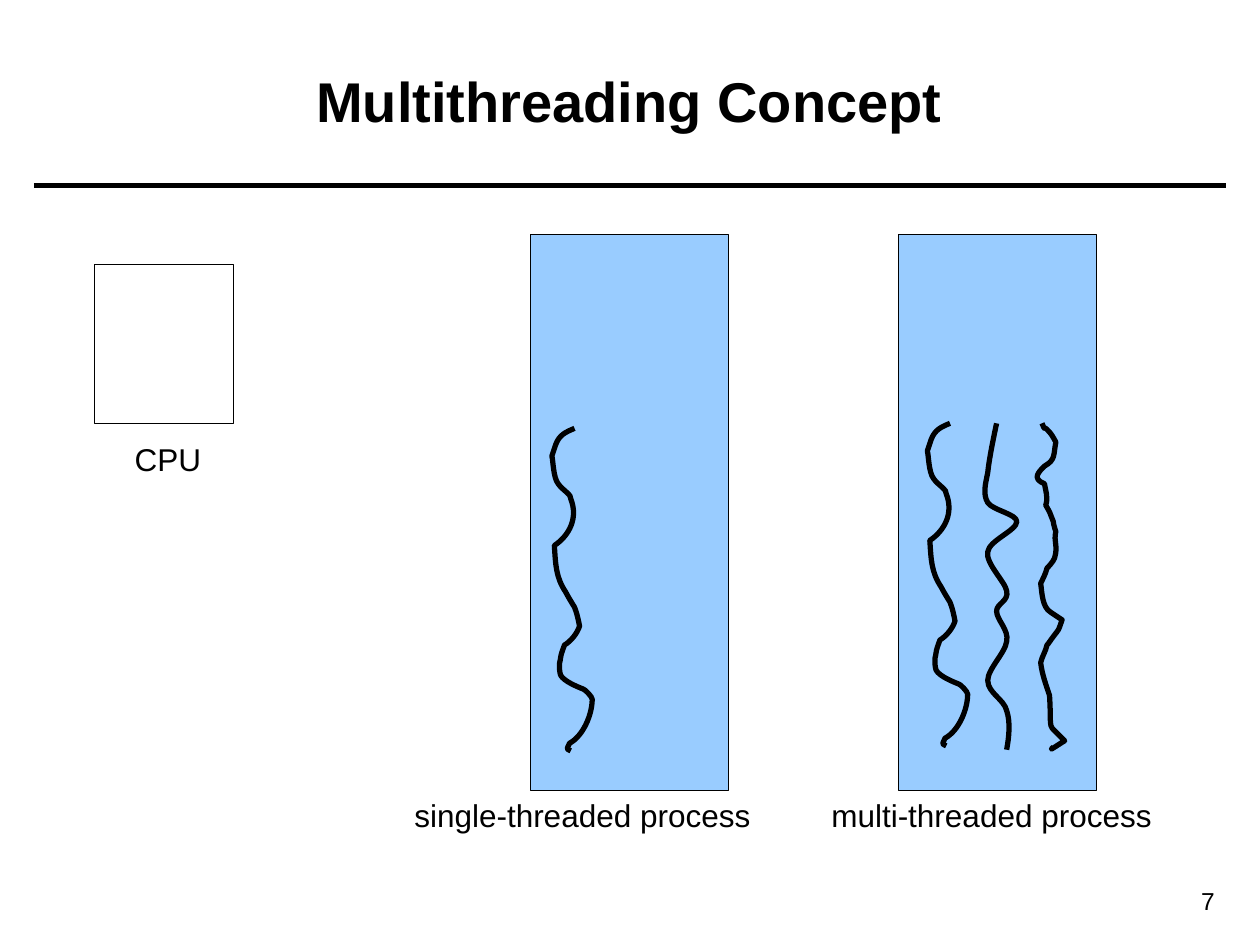
import pptx
import pptx.dml.color
import pptx.enum.shapes
import pptx.enum.text
import pptx.oxml.ns
import pptx.util
from lxml import etree

Inches = pptx.util.Inches
ALIGN = pptx.enum.text.PP_ALIGN
ANCHOR = pptx.enum.text.MSO_ANCHOR
qn = pptx.oxml.ns.qn

# Threads as cubic curves: a start point, then two controls and an end per row
LEFT_THREAD = [
    (4.56, 3.4),
    (4.49, 3.43), (4.44, 3.45), (4.41, 3.53),
    (4.4, 3.56), (4.38, 3.62), (4.38, 3.62),
    (4.39, 3.65), (4.39, 3.79), (4.43, 3.84),
    (4.45, 3.87), (4.48, 3.89), (4.51, 3.92),
    (4.52, 3.93), (4.53, 3.94), (4.53, 3.96),
    (4.59, 4.11), (4.52, 4.25), (4.4, 4.33),
    (4.41, 4.48), (4.41, 4.58), (4.49, 4.7),
    (4.51, 4.74), (4.56, 4.82), (4.56, 4.82),
    (4.58, 4.87), (4.59, 4.92), (4.6, 4.97),
    (4.58, 5.03), (4.53, 5.09), (4.48, 5.12),
    (4.44, 5.23), (4.46, 5.18), (4.44, 5.27),
    (4.44, 5.3), (4.44, 5.33), (4.45, 5.36),
    (4.48, 5.41), (4.58, 5.45), (4.63, 5.47),
    (4.64, 5.47), (4.7, 5.53), (4.7, 5.55),
    (4.7, 5.67), (4.63, 5.84), (4.52, 5.9),
    (4.5, 5.95), (4.49, 5.94), (4.53, 5.96),
]
MIDDLE_THREAD = [
    (7.91, 3.36),
    (7.88, 3.5), (7.85, 3.65), (7.84, 3.75),
    (7.82, 3.85), (7.8, 3.92), (7.84, 3.99),
    (7.88, 4.05), (8.07, 4.08), (8.07, 4.14),
    (8.07, 4.21), (7.85, 4.29), (7.84, 4.38),
    (7.82, 4.47), (7.98, 4.62), (7.99, 4.69),
    (8.01, 4.77), (7.91, 4.79), (7.91, 4.85),
    (7.91, 4.92), (8.01, 5), (7.99, 5.09),
    (7.98, 5.18), (7.84, 5.31), (7.84, 5.4),
    (7.84, 5.5), (7.97, 5.55), (7.99, 5.64),
    (8.02, 5.73), (8.01, 5.84), (7.99, 5.95),
]
RIGHT_THREAD = [
    (8.27, 3.36),
    (8.31, 3.45), (8.26, 3.35), (8.33, 3.43),
    (8.35, 3.45), (8.38, 3.51), (8.38, 3.51),
    (8.36, 3.61), (8.38, 3.65), (8.29, 3.7),
    (8.24, 3.75), (8.19, 3.8), (8.29, 3.84),
    (8.3, 3.9), (8.32, 3.95), (8.3, 4.01),
    (8.34, 4.08), (8.32, 4.04), (8.36, 4.14),
    (8.36, 4.16), (8.38, 4.22), (8.38, 4.22),
    (8.36, 4.3), (8.4, 4.33), (8.37, 4.43),
    (8.36, 4.46), (8.31, 4.51), (8.31, 4.51),
    (8.3, 4.55), (8.28, 4.59), (8.26, 4.63),
    (8.27, 4.7), (8.27, 4.82), (8.34, 4.86),
    (8.37, 4.88), (8.43, 4.92), (8.43, 4.92),
    (8.39, 5.03), (8.42, 4.97), (8.34, 5.08),
    (8.33, 5.1), (8.31, 5.12), (8.31, 5.12),
    (8.3, 5.17), (8.27, 5.21), (8.26, 5.26),
    (8.27, 5.35), (8.3, 5.43), (8.33, 5.52),
    (8.35, 5.84), (8.3, 5.72), (8.45, 5.88),
    (8.43, 5.89), (8.3, 5.98), (8.36, 5.93),
]


def color(hex_string):
    return pptx.dml.color.RGBColor.from_string(hex_string)


def bend(shape):
    """Turn every three line segments of a freeform into one cubic curve."""
    segments = list(shape._element.iter(qn("a:lnTo")))
    for i in range(0, len(segments), 3):
        first, *others = segments[i:i + 3]
        curve = etree.Element(qn("a:cubicBezTo"))
        first.addprevious(curve)
        for segment in (first, *others):
            curve.append(segment[0])
            segment.getparent().remove(segment)


class SlideBuilder:
    font = "Arial"
    ink = "000000"
    thin, thick = 0.25, 3

    def __init__(self, slide):
        self.slide = slide
        self.shapes = slide.shapes

    def outline(self, shape, width):
        shape.line.color.rgb = color(self.ink)
        shape.line.width = pptx.util.Pt(width)

    def text(self, text, left, top, width, height, size=18, bold=False,
             align=ALIGN.LEFT, anchor=ANCHOR.TOP, wrap=False):
        box = self.shapes.add_textbox(
            Inches(left), Inches(top), Inches(width), Inches(height))
        frame = box.text_frame
        frame.word_wrap = wrap
        frame.vertical_anchor = anchor
        frame.text = text
        paragraph = frame.paragraphs[0]
        paragraph.alignment = align
        font = paragraph.runs[0].font
        font.name, font.size, font.bold = self.font, pptx.util.Pt(size), bold
        font.color.rgb = color(self.ink)

    def box(self, left, top, width, height, fill=None):
        shape = self.shapes.add_shape(
            pptx.enum.shapes.MSO_SHAPE.RECTANGLE,
            Inches(left), Inches(top), Inches(width), Inches(height))
        shape.shadow.inherit = False
        if fill:
            shape.fill.solid()
            shape.fill.fore_color.rgb = color(fill)
        else:
            shape.fill.background()
        self.outline(shape, self.thin)

    def rule(self, left, right, y):
        line = self.shapes.add_connector(
            pptx.enum.shapes.MSO_CONNECTOR.STRAIGHT,
            Inches(left), Inches(y), Inches(right), Inches(y))
        self.outline(line, self.thick)
        etree.SubElement(line._element.spPr, qn("a:effectLst"))

    def thread(self, controls, dx=0, dy=0):
        points = [(Inches(x + dx), Inches(y + dy)) for x, y in controls]
        builder = self.shapes.build_freeform(*points[0])
        builder.add_line_segments(points[1:], close=False)
        shape = builder.convert_to_shape()
        bend(shape)
        shape.shadow.inherit = False
        shape.fill.background()
        self.outline(shape, self.thick)


def main():
    presentation = pptx.Presentation()
    presentation.slide_width = Inches(10)
    presentation.slide_height = Inches(7.5)
    builder = SlideBuilder(
        presentation.slides.add_slide(presentation.slide_layouts[6]))

    # Heading rule and page number
    builder.rule(0.27, 9.73, 1.47)
    builder.text("7", 8.7, 6.98, 1.04, 0.34, size=14, align=ALIGN.RIGHT,
                 wrap=True)

    # Process boxes
    for left in (4.21, 7.13):
        builder.box(left, 1.86, 1.57, 4.41, fill="99CCFF")

    # Title
    builder.text("Multithreading Concept", 0.35, 0.17, 9.29, 1.25, size=32,
                 bold=True, align=ALIGN.CENTER, anchor=ANCHOR.MIDDLE, wrap=True)

    # CPU box and labels
    builder.box(0.75, 2.1, 1.1, 1.26)
    for label, left, top, width in (
            ("CPU", 0.97, 3.44, 0.73),
            ("single-threaded process", 3.19, 6.27, 2.87),
            ("multi-threaded process", 6.5, 6.27, 2.74)):
        builder.text(label, left, top, width, 0.4)

    # Threads
    builder.thread(LEFT_THREAD)
    builder.thread(LEFT_THREAD, dx=2.98, dy=-0.04)
    builder.thread(MIDDLE_THREAD)
    builder.thread(RIGHT_THREAD)

    presentation.save("out.pptx")


if __name__ == "__main__":
    main()
